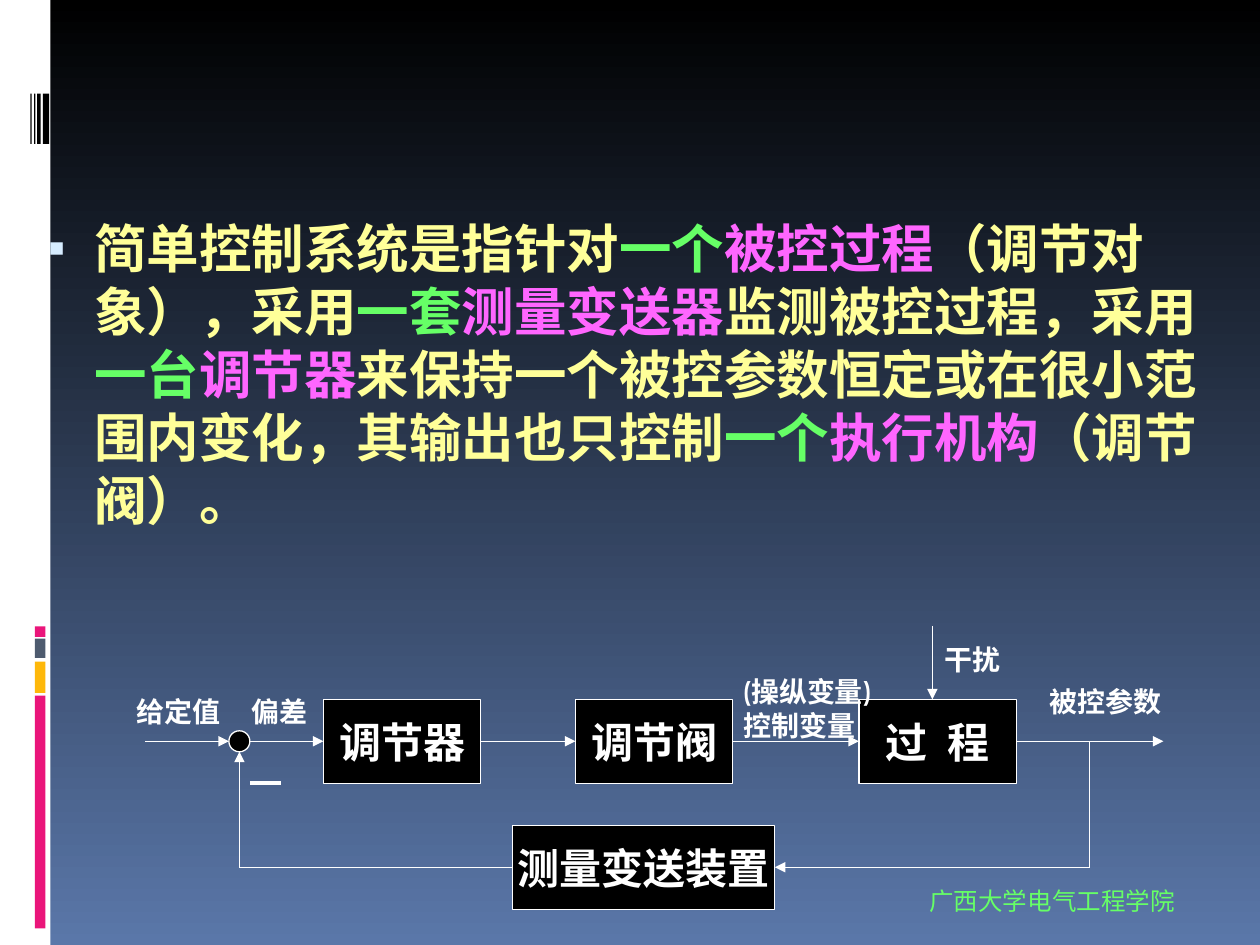
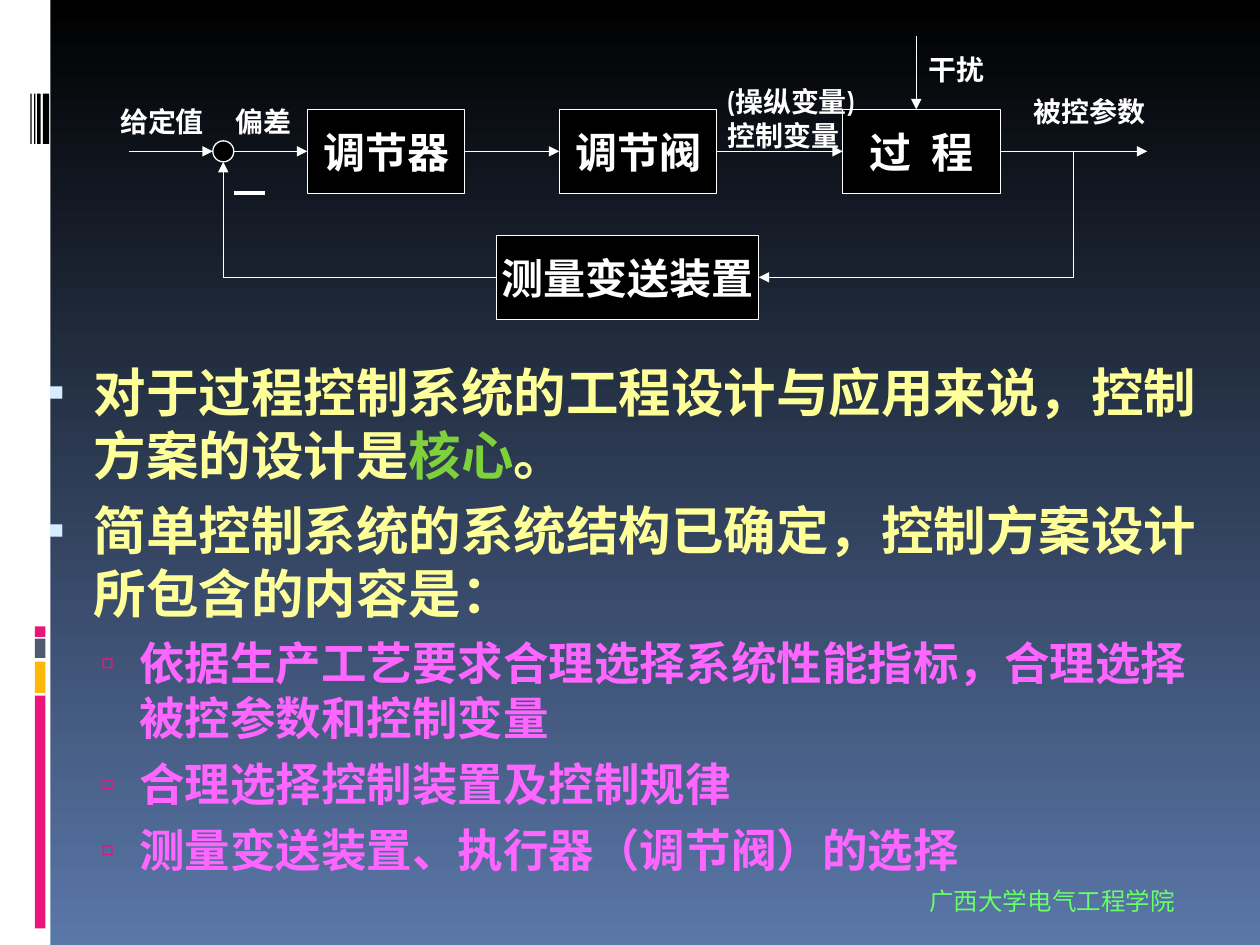
import pptx
import pptx.util
import pptx.dml.color
import pptx.enum.shapes
import pptx.enum.text
import pptx.oxml.ns
import lxml.etree

Pt = pptx.util.Pt
RGBColor = pptx.dml.color.RGBColor
MSO_SHAPE = pptx.enum.shapes.MSO_SHAPE

BLACK = RGBColor(0x00, 0x00, 0x00)
WHITE = RGBColor(0xFF, 0xFF, 0xFF)
STEEL = RGBColor(0x5A, 0x77, 0xA9)
PINK = RGBColor(0xEA, 0x15, 0x7A)
AMBER = RGBColor(0xFE, 0xB8, 0x0A)
SLATE = RGBColor(0x4E, 0x5B, 0x6F)
ICE = RGBColor(0xD6, 0xEC, 0xFF)
YELLOW = RGBColor(0xFF, 0xFF, 0x99)
MINT = RGBColor(0x66, 0xFF, 0x66)
MAGENTA = RGBColor(0xFF, 0x66, 0xFF)
LEAF = RGBColor(0x7F, 0xD1, 0x3B)

BODY_FONT = "Cabin"
FOOTER_FONT = "Arial Narrow"
BULLET_FONT = "Arial"
FOOTER_TEXT = "广西大学电气工程学院"

STRIPES = [(397.5, 133, PINK), (378, 18, AMBER), (365, 11, SLATE), (358, 6, PINK)]
BARCODE = [(24.5, 3.6), (21.2, 2.1), (19.5, 0.7), (17.4, 0.7)]

LEVELS = [
    dict(size=30, margin=32.4, indent=-26.6, before=7, mark="▪", tint=ICE, scale=95),
    dict(size=26, margin=58.3, indent=-22.3, before=6.5, mark="▫", tint=PINK, scale=90),
]

DEFINITION = [
    (0, [("简单控制系统是指针对", YELLOW), ("一个", MINT), ("被控过程", MAGENTA),
         ("（调节对象），采用", YELLOW), ("一套", MINT), ("测量变送器", MAGENTA),
         ("监测被控过程，采用", YELLOW), ("一台", MINT), ("调节器", MAGENTA),
         ("来保持一个被控参数恒定或在很小范围内变化，其输出也只控制", YELLOW),
         ("一个", MINT), ("执行机构", MAGENTA), ("（调节阀）。", YELLOW)]),
]
DESIGN_CONTENT = [
    (0, [("对于过程控制系统的工程设计与应用来说，控制方案的设计是", YELLOW),
         ("核心", LEAF), ("。", YELLOW)]),
    (0, [("简单控制系统的系统结构已确定，控制方案设计所包含的内容是：", YELLOW)]),
    (1, [("依据生产工艺要求合理选择系统性能指标，合理选择被控参数和控制变量", MAGENTA)]),
    (1, [("合理选择控制装置及控制规律", MAGENTA)]),
    (1, [("测量变送装置、执行器（调节阀）的选择", MAGENTA)]),
]


def add_span(para, text, size, color, font=BODY_FONT, bold=True):
    span = para.add_run()
    span.text = text
    span.font.name = font
    span.font.size = Pt(size)
    span.font.bold = bold
    span.font.color.rgb = color
    return span


def add_filled(shapes, kind, left, top, width, height, fill, outline=None):
    shape = shapes.add_shape(kind, Pt(left), Pt(top), Pt(width), Pt(height))
    shape.shadow.inherit = False
    shape.fill.solid()
    shape.fill.fore_color.rgb = fill
    if outline is None:
        shape.line.fill.background()
    else:
        shape.line.color.rgb = outline
        shape.line.width = Pt(0.75)
    return shape


def add_label(shapes, left, top, width, height, lines, size=16, color=WHITE,
              font=BODY_FONT, bold=True):
    box = shapes.add_textbox(Pt(left), Pt(top), Pt(width), Pt(height))
    frame = box.text_frame
    frame.word_wrap = False
    frame.auto_size = pptx.enum.text.MSO_AUTO_SIZE.SHAPE_TO_FIT_TEXT
    for number, text in enumerate(lines):
        para = frame.add_paragraph() if number else frame.paragraphs[0]
        add_span(para, text, size, color, font, bold)


def add_line(shapes, start, end, arrow=False, width=0.75, source=None, target=None):
    line = shapes.add_connector(pptx.enum.shapes.MSO_CONNECTOR.STRAIGHT,
                                Pt(start[0]), Pt(start[1]), Pt(end[0]), Pt(end[1]))
    line.line.color.rgb = WHITE
    line.line.width = Pt(width)
    if arrow:
        lxml.etree.SubElement(line.line._get_or_add_ln(),
                              pptx.oxml.ns.qn("a:tailEnd"), type="triangle")
    lxml.etree.SubElement(line._element.spPr, pptx.oxml.ns.qn("a:effectLst"))
    if source:
        line.begin_connect(*source)
    if target:
        line.end_connect(*target)


def add_bullet(para, level):
    props = para._p.get_or_add_pPr()
    props.set("marL", str(Pt(level["margin"])))
    props.set("indent", str(Pt(level["indent"])))
    qn = pptx.oxml.ns.qn
    tint = lxml.etree.SubElement(props, qn("a:buClr"))
    lxml.etree.SubElement(tint, qn("a:srgbClr"), val=str(level["tint"]))
    lxml.etree.SubElement(props, qn("a:buSzPct"), val=str(level["scale"] * 1000))
    lxml.etree.SubElement(props, qn("a:buFont"), typeface=BULLET_FONT)
    lxml.etree.SubElement(props, qn("a:buChar"), char=level["mark"])


def add_page(deck):
    page = deck.slides.add_slide(deck.slide_layouts[6])
    fill = page.background.fill
    fill.gradient()
    fill.gradient_angle = 270
    for stop, color, position in zip(fill.gradient_stops, (BLACK, STEEL), (0, 1)):
        stop.color.rgb = color
        stop.position = position
    rectangle = MSO_SHAPE.RECTANGLE
    add_filled(page.shapes, rectangle, 0, 0, 28.8, 540, WHITE)
    for top, height, color in STRIPES:
        add_filled(page.shapes, rectangle, 20, top, 6, height, color)
    for left, width in BARCODE:
        add_filled(page.shapes, rectangle, left, 53.5, width, 28.8, BLACK)
    add_label(page.shapes, 524, 502.5, 155, 24.5, [FOOTER_TEXT], 14, MINT,
              FOOTER_FONT, False)
    return page


def add_body(page, left, top, width, height, content):
    box = page.shapes.add_textbox(Pt(left), Pt(top), Pt(width), Pt(height))
    frame = box.text_frame
    frame.word_wrap = True
    for number, (depth, spans) in enumerate(content):
        level = LEVELS[depth]
        para = frame.add_paragraph() if number else frame.paragraphs[0]
        para.level = depth
        add_bullet(para, level)
        if number:
            para.space_before = Pt(level["before"])
        for text, color in spans:
            add_span(para, text, level["size"], color)


def add_control_loop(page, left, top):
    shapes = page.shapes.add_group_shape().shapes
    block_height = 48
    axis, feedback = 66, 138
    summing, takeoff, disturbance = 54, 540, 450

    def at(x, y):
        return left + x, top + y

    def add_block(text, x, middle, width, tracking=0):
        block = add_filled(shapes, MSO_SHAPE.RECTANGLE, *at(x, middle - block_height / 2),
                           width, block_height, BLACK, WHITE)
        frame = block.text_frame
        frame.word_wrap = False
        frame.vertical_anchor = pptx.enum.text.MSO_ANCHOR.MIDDLE
        para = frame.paragraphs[0]
        para.alignment = pptx.enum.text.PP_ALIGN.CENTER
        span = add_span(para, text, 24, WHITE)
        if tracking:
            span._r.get_or_add_rPr().set("spc", str(tracking * 100))
        return block

    controller = add_block("调节器", 102, axis, 90)
    valve = add_block("调节阀", 246, axis, 90)
    process = add_block("过 程", 408, axis, 90, tracking=3)
    transmitter = add_block("测量变送装置", 210, feedback, 150)
    add_filled(shapes, MSO_SHAPE.OVAL, *at(summing - 6, axis - 6), 12, 12, BLACK, WHITE)

    add_line(shapes, at(0, axis), at(summing - 6, axis), True)
    add_line(shapes, at(summing + 6, axis), at(102, axis), True, target=(controller, 1))
    add_line(shapes, at(192, axis), at(246, axis), True,
             source=(controller, 3), target=(valve, 1))
    add_line(shapes, at(336, axis), at(408, axis), True,
             source=(valve, 3), target=(process, 1))
    add_line(shapes, at(498, axis), at(582, axis), True, source=(process, 3))
    add_line(shapes, at(takeoff, axis), at(takeoff, feedback))
    add_line(shapes, at(takeoff, feedback), at(360, feedback), True,
             target=(transmitter, 3))
    add_line(shapes, at(210, feedback), at(summing, feedback), source=(transmitter, 1))
    add_line(shapes, at(summing, feedback), at(summing, axis + 6), True)
    add_line(shapes, at(disturbance, 0), at(disturbance, axis - block_height / 2), True)
    add_line(shapes, at(60, 90), at(78, 90), width=2.25)

    for x, y, width, height, lines in [
        (-12, 36, 65, 26.6, ["给定值"]),
        (54, 36, 49, 26.6, ["偏差"]),
        (450, 6, 49, 26.6, ["干扰"]),
        (510, 30, 81, 26.6, ["被控参数"]),
        (335, 24.4, 98, 46, ["(操纵变量)", "控制变量"]),
    ]:
        add_label(shapes, *at(x, y), width, height, lines)


def main():
    deck = pptx.Presentation()
    deck.slide_width, deck.slide_height = Pt(720), Pt(540)

    definition_page = add_page(deck)
    add_body(definition_page, 14.4, 119.8, 694, 212.4, DEFINITION)
    add_control_loop(definition_page, 82.8, 357.6)

    design_page = add_page(deck)
    add_body(design_page, 14.2, 202, 694, 309, DESIGN_CONTENT)
    add_control_loop(design_page, 73.6, 20.5)

    deck.save("out.pptx")


if __name__ == "__main__":
    main()
